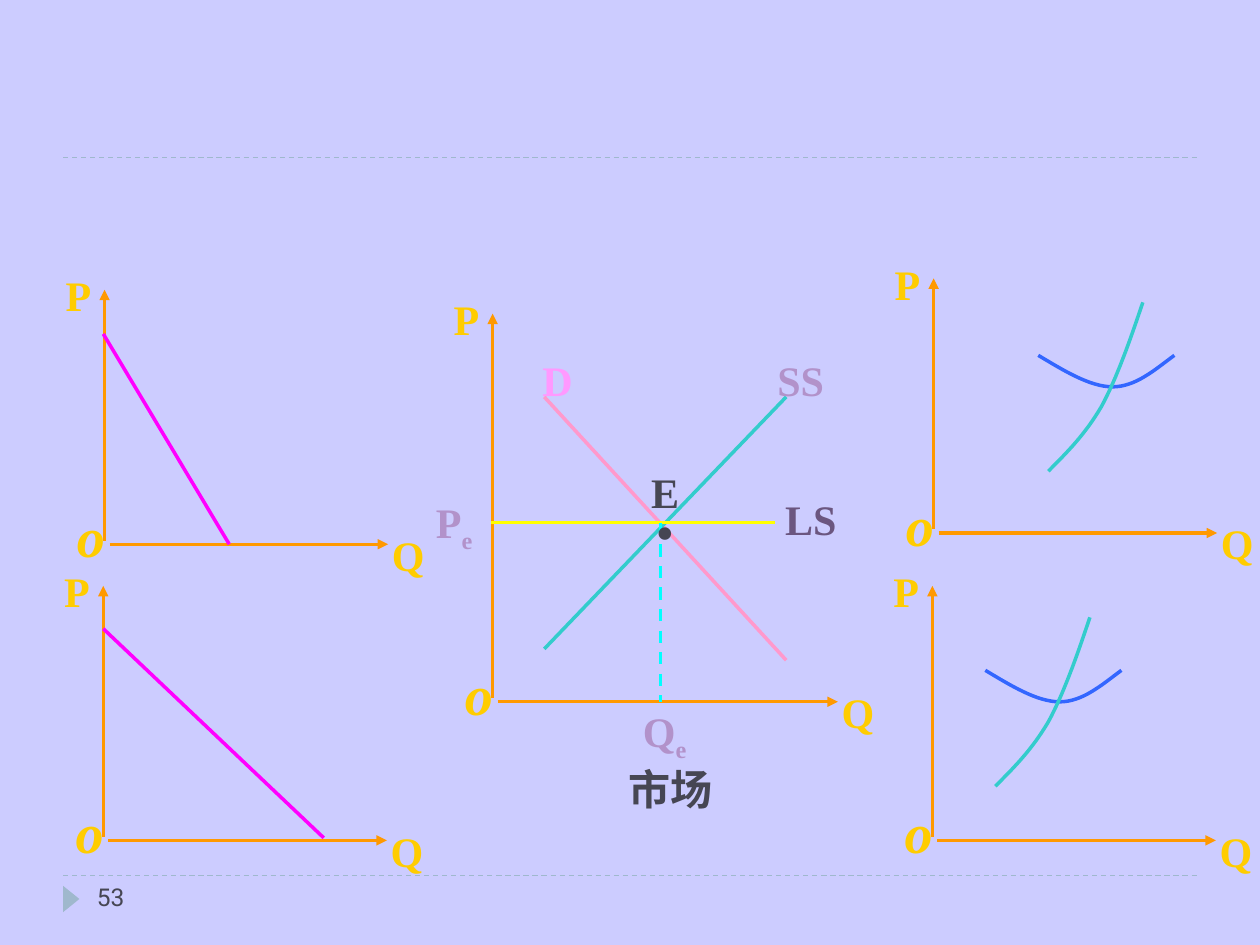
from dataclasses import dataclass

from lxml import etree
from pptx import Presentation
from pptx.dml.color import RGBColor
from pptx.enum.dml import MSO_LINE
from pptx.enum.shapes import MSO_CONNECTOR, MSO_SHAPE
from pptx.enum.text import MSO_AUTO_SIZE, PP_ALIGN
from pptx.oxml.ns import qn
from pptx.util import Inches, Pt

STRAIGHT = MSO_CONNECTOR.STRAIGHT
TRIANGLE = MSO_SHAPE.ISOSCELES_TRIANGLE
DASH = MSO_LINE.DASH
CENTER, LEFT = PP_ALIGN.CENTER, PP_ALIGN.LEFT
SERIF, SANS, CHINESE = "Times New Roman", "Roboto", "Noto Sans CJK KR"
COLORS = {
    "background": "CCCCFF", "rule": "9FB8CD", "axis": "FF9900", "axis_name": "FFCC00",
    "demand": "FF00FF", "average_cost": "3366FF", "supply": "33CCCC",
    "market_demand": "FF99CC", "demand_name": "FF99FF", "long_supply": "FFFF00",
    "quantity": "00FFFF", "mauve": "B292CA", "plum": "6B5680", "dark": "464653",
}
LABEL_INSETS = (0.28, 0, 0.04, 0.17)
PLAIN_INSETS = (0.1, 0.05, 0.1, 0.05)
CURVE_STEPS = 16

Point = tuple[float, float]


@dataclass
class Axes:
    x: float
    y: float
    width: float = 2.25
    height: float = 2.02


@dataclass
class Line:
    start: Point
    end: Point
    color: str
    weight: float = 2
    dashed: bool = False
    arrow: bool = False


@dataclass
class Label:
    text: str
    left: float
    top: float
    width: float
    height: float
    color: str
    size: float = 24
    font: str = SERIF
    bold: bool = True
    italic: bool = False
    subscript: str = ""
    wrap: bool = True
    align: PP_ALIGN = CENTER
    spacing: float = 1.4
    insets: tuple[float, float, float, float] = LABEL_INSETS


def rgb(name: str) -> RGBColor:
    return RGBColor.from_string(COLORS[name])


def draw_line(page, line: Line) -> None:
    connector = page.shapes.add_connector(
        STRAIGHT, *(Inches(value) for value in line.start + line.end))
    connector.line.color.rgb = rgb(line.color)
    connector.line.width = Pt(line.weight)
    if line.dashed:
        connector.line.dash_style = DASH
    if line.arrow:
        etree.SubElement(connector.line._get_or_add_ln(), qn("a:tailEnd"), type="triangle")
    etree.SubElement(connector._element.spPr, qn("a:effectLst"))


def draw_label(page, label: Label) -> None:
    box = page.shapes.add_textbox(Inches(label.left), Inches(label.top),
                                  Inches(label.width), Inches(label.height))
    frame = box.text_frame
    frame.word_wrap = label.wrap
    frame.auto_size = MSO_AUTO_SIZE.SHAPE_TO_FIT_TEXT
    (frame.margin_left, frame.margin_top,
     frame.margin_right, frame.margin_bottom) = map(Inches, label.insets)
    frame.text = label.text
    para = frame.paragraphs[0]
    para.alignment = label.align
    para.line_spacing = label.spacing
    if label.subscript:
        para.add_run().text = label.subscript
    for span in para.runs:
        span.font.name = label.font
        span.font.size = Pt(label.size)
        span.font.bold = label.bold
        span.font.italic = label.italic
        span.font.color.rgb = rgb(label.color)
        etree.SubElement(span.font._element, qn("a:ea"), typeface=label.font)
    if label.subscript:
        para.runs[1].font._element.set("baseline", "-25000")


def draw_axes(page, axes: Axes) -> None:
    right, top = axes.x + axes.width, axes.y - axes.height
    draw_line(page, Line((axes.x + 0.04, axes.y), (right, axes.y), "axis", 1.75, arrow=True))
    draw_line(page, Line((axes.x, axes.y - 0.03), (axes.x, top), "axis", 1.75, arrow=True))
    draw_label(page, Label("o", axes.x - 0.5, axes.y - 0.55, 0.54, 0.91, "axis_name",
                           size=32, italic=True, wrap=False))
    draw_label(page, Label("Q", right - 0.25, axes.y - 0.28, 0.58, 0.73, "axis_name", wrap=False))
    draw_label(page, Label("P", axes.x - 0.59, top - 0.32, 0.52, 0.73, "axis_name", wrap=False))


def bezier_points(knots: list[Point]) -> list[Point]:
    """Sample a chain of cubic Bezier segments that share their end knots."""
    points = [knots[0]]
    for first in range(0, len(knots) - 1, 3):
        segment = knots[first:first + 4]
        for step in range(1, CURVE_STEPS + 1):
            t = step / CURVE_STEPS
            weights = ((1 - t) ** 3, 3 * t * (1 - t) ** 2, 3 * t ** 2 * (1 - t), t ** 3)
            points.append(tuple(sum(w * knot[axis] for w, knot in zip(weights, segment))
                                for axis in (0, 1)))
    return points


def draw_curve(page, knots: list[Point], left: float, top: float, color: str) -> None:
    points = [(Inches(left + x), Inches(top + y)) for x, y in bezier_points(knots)]
    builder = page.shapes.build_freeform(*points[0])
    builder.add_line_segments(points[1:], close=False)
    curve = builder.convert_to_shape()
    curve.shadow.inherit = False
    curve.fill.background()
    curve.line.color.rgb = rgb(color)
    curve.line.width = Pt(2)


def draw_frame(page) -> None:
    for y in (6.95, 1.25):
        draw_line(page, Line((0.5, y), (9.5, y), "rule", 0.75, dashed=True))
    marker = page.shapes.add_shape(TRIANGLE, Inches(0.46), Inches(7.07), Inches(0.21), Inches(0.13))
    marker.rotation = 90
    marker.shadow.inherit = False
    marker.fill.solid()
    marker.fill.fore_color.rgb = rgb("rule")
    marker.line.fill.background()
    draw_label(page, Label("53", 0.67, 6.95, 2.17, 0.4, "dark", size=14, font=SANS, bold=False,
                           align=LEFT, spacing=1, insets=PLAIN_INSETS))


PANELS = [Axes(0.83, 4.32), Axes(0.82, 6.67), Axes(7.41, 4.23), Axes(7.4, 6.67),
          Axes(3.91, 5.57, 2.74, 3.08)]
DEMAND_LINES = [Line((0.82, 2.65), (1.82, 4.32), "demand"),
                Line((0.82, 4.99), (2.57, 6.65), "demand")]
AVERAGE_COST = [(0, 0.42), (0.2, 0.54), (0.41, 0.67), (0.59, 0.67),
                (0.77, 0.67), (0.92, 0.54), (1.08, 0.42)]
MARGINAL_COST = [(0.08, 1.34), (0.23, 1.19), (0.37, 1.05), (0.5, 0.83),
                 (0.62, 0.61), (0.73, 0.3), (0.83, 0)]
COST_CORNERS = [(8.24, 2.4), (7.82, 4.9)]
MARKET_LINES = [
    Line((4.32, 3.15), (6.24, 5.24), "market_demand"),
    Line((6.24, 3.15), (4.32, 5.15), "supply"),
    Line((3.9, 4.15), (6.15, 4.15), "long_supply", 1.75),
    Line((5.24, 4.15), (5.24, 5.57), "quantity", 1.75, dashed=True),
]
MARKET_LABELS = [
    Label("市场", 4.24, 5.9, 1.92, 0.73, "dark", font=CHINESE),
    Label("D", 3.64, 2.65, 1.33, 0.73, "demand_name"),
    Label("SS", 5.57, 2.65, 1.33, 0.73, "mauve"),
    Label("LS", 5.65, 3.76, 1.33, 0.73, "plum"),
    Label("P", 2.82, 3.76, 1.33, 0.81, "mauve", subscript="e"),
    Label("E", 5.07, 3.65, 0.42, 0.5, "dark", wrap=False, align=LEFT, spacing=1,
          insets=PLAIN_INSETS),
    Label("·", 4.9, 3.54, 0.47, 1.2, "dark", size=44),
    Label("Q", 4.49, 5.42, 1.33, 0.81, "mauve", subscript="e"),
]


def main() -> None:
    deck = Presentation()
    deck.slide_width, deck.slide_height = Inches(10), Inches(7.5)
    page = deck.slides.add_slide(deck.slide_layouts[6])
    page.background.fill.solid()
    page.background.fill.fore_color.rgb = rgb("background")
    draw_frame(page)
    for axes in PANELS:
        draw_axes(page, axes)
    for line in DEMAND_LINES + MARKET_LINES:
        draw_line(page, line)
    for left, top in COST_CORNERS:
        draw_curve(page, AVERAGE_COST, left, top, "average_cost")
        draw_curve(page, MARGINAL_COST, left, top, "supply")
    for label in MARKET_LABELS:
        draw_label(page, label)
    deck.save("out.pptx")


if __name__ == "__main__":
    main()
